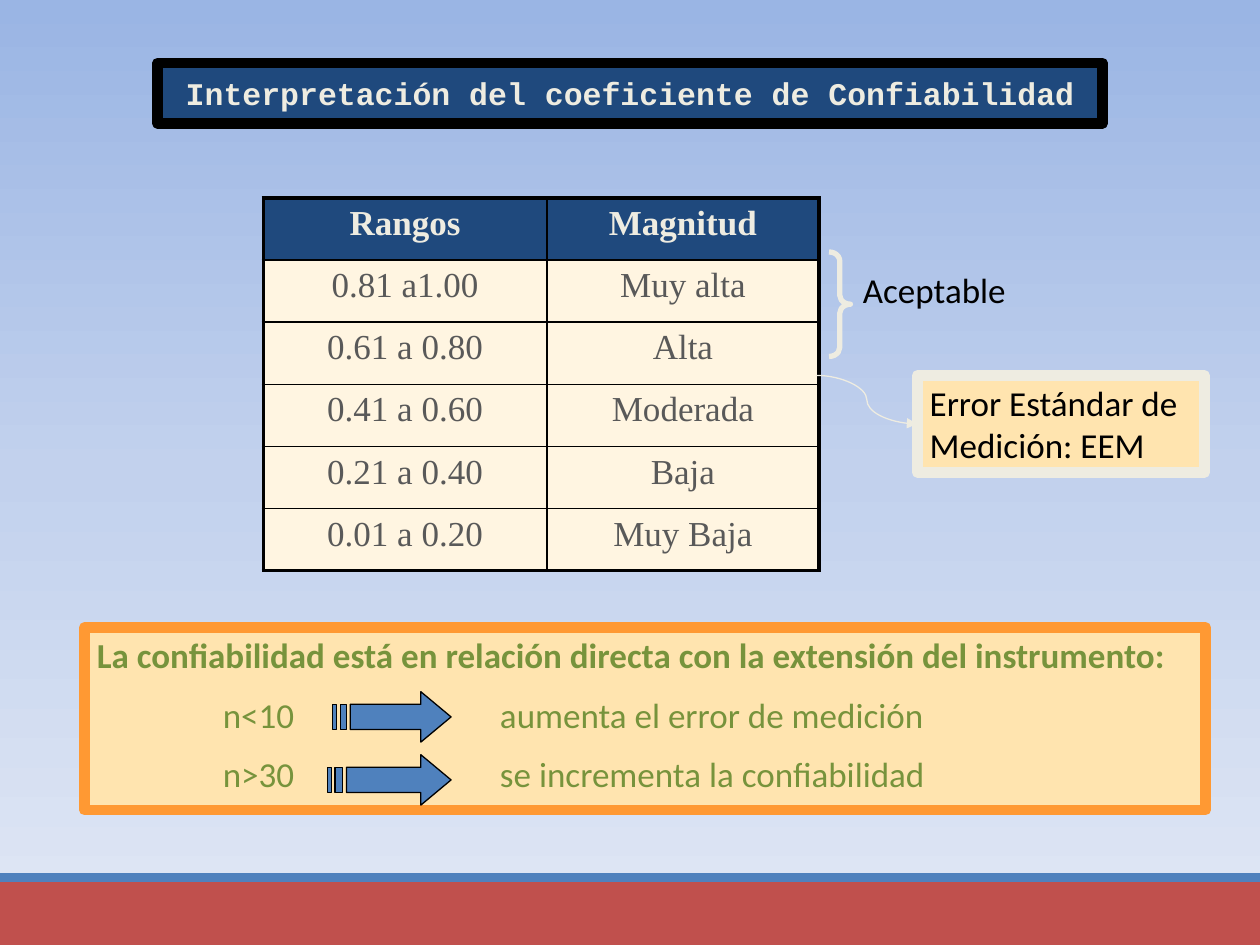
from copy import deepcopy
from pptx import Presentation
from pptx.dml.color import RGBColor
from pptx.enum.shapes import MSO_CONNECTOR, MSO_SHAPE
from pptx.enum.text import MSO_ANCHOR, PP_ALIGN
from pptx.oxml import parse_xml
from pptx.oxml.ns import nsdecls
from pptx.util import Inches, Pt

NAVY = RGBColor(0x1F, 0x49, 0x7D)
BLUE = RGBColor(0x4F, 0x81, 0xBD)
RED = RGBColor(0xC0, 0x50, 0x4D)
CREAM = RGBColor(0xEE, 0xEC, 0xE1)
PALE = RGBColor(0xFF, 0xF5, 0xE1)
SAND = RGBColor(0xFF, 0xE4, 0xAF)
ORANGE = RGBColor(0xFF, 0x99, 0x33)
GREEN = RGBColor(0x77, 0x93, 0x3C)
GRAY = RGBColor(0x59, 0x59, 0x59)
BLACK = RGBColor(0, 0, 0)
SKY = [(0, RGBColor(0x9A, 0xB5, 0xE4)), (0.5, RGBColor(0xC2, 0xD1, 0xED)),
       (1, RGBColor(0xE1, 0xE8, 0xF5))]

# Content
TITLE = "Interpretación del coeficiente de Confiabilidad"
ROWS = [("Rangos", "Magnitud"), ("0.81 a1.00", "Muy alta"),
        ("0.61 a 0.80", "Alta"), ("0.41 a 0.60", "Moderada"),
        ("0.21 a 0.40", "Baja"), ("0.01 a 0.20", "Muy Baja")]
BRACE = "Aceptable"
ERROR = "Error Estándar de Medición: EEM"
RULE = "La confiabilidad está en relación directa con la extensión del instrumento:"
CASES = [("n<10", "aumenta el error de medición"),
         ("n>30", "se incrementa la confiabilidad")]
TABS = (1, 3.2)
COLS = (2.25, 2.16)
# Arrow: left, top, then offsets of the stripes and the shaft
ARROWS = [(2.64, 5.49, [(0, 0.03), (0.06, 0.11)], 0.14),
          (2.6, 5.99, [(0, 0.03), (0.06, 0.12)], 0.15)]

# Text formats
HEAD = dict(name="Courier New", size=Pt(18), bold=True, color=CREAM)
TOP = dict(name="Times New Roman", size=Pt(20), bold=True, color=CREAM)
CELL = dict(TOP, bold=False, color=GRAY)
NOTE = dict(name="Calibri", size=Pt(20), bold=False, color=BLACK)
CASE = dict(NOTE, color=GREEN)
STRONG = dict(CASE, bold=True)


def write(para, text, form, align=PP_ALIGN.LEFT):
    para.alignment = align
    run = para.add_run()
    run.text = text
    for key, val in form.items():
        if key == "color":
            run.font.color.rgb = val
        else:
            setattr(run.font, key, val)


def paint(shape, fill=None, line=None, width=6):
    shape.shadow.inherit = False
    for part, color in ((shape.fill, fill), (shape.line.fill, line)):
        if color is None:
            part.background()
        else:
            part.solid()
            part.fore_color.rgb = color
    if line is not None:
        shape.line.width = Pt(width)


def box(shapes, at, fill, line=None, width=6, kind=MSO_SHAPE.RECTANGLE):
    shape = shapes.add_shape(kind, *map(Inches, at))
    paint(shape, fill, line, width)
    shape.text_frame.word_wrap = True
    shape.text_frame.vertical_anchor = MSO_ANCHOR.TOP
    return shape


def edge(cell, widths):
    props = cell._tc.get_or_add_tcPr()
    for i, (side, width) in enumerate(zip("LRTB", widths)):
        props.insert(i, parse_xml(
            f'<a:ln{side} {nsdecls("a")} w="{Pt(width)}"><a:solidFill>'
            f'<a:srgbClr val="{BLACK}"/></a:solidFill></a:ln{side}>'))


def arrow(shapes, left, top, bars, shaft):
    upper, lower, neck, tip = top + 0.1, top + 0.3, 3.34, 3.58
    body = left + shaft
    loops = [[(neck, top), (neck, upper), (body, upper), (body, lower),
              (neck, lower), (neck, top + 0.4), (tip, top + 0.2)]]
    for a, b in bars:
        loops.append([(left + a, upper), (left + a, lower),
                      (left + b, lower), (left + b, upper)])
    build = None
    for loop in loops:
        pts = [(Inches(x), Inches(y)) for x, y in loop]
        if build is None:
            build = shapes.build_freeform(*pts[0])
        else:
            build.move_to(*pts[0])
        build.add_line_segments(pts[1:], close=True)
    paint(build.convert_to_shape(), BLUE, BLACK, 0.75)


def main():
    prs = Presentation()
    prs.slide_width, prs.slide_height = Inches(10), Inches(7.5)
    slide = prs.slides.add_slide(prs.slide_layouts[6])
    shapes = slide.shapes

    # Sky gradient
    fill = slide.background.fill
    fill.gradient()
    fill.gradient_angle = 270
    stops = slide._element.xpath(".//a:gsLst")[0]
    stops.append(deepcopy(stops[0]))
    for stop, (place, color) in zip(fill.gradient_stops, SKY):
        stop.position = place
        stop.color.rgb = color

    # Footer bands and title
    box(shapes, (0, 7, 10, 0.5), RED)
    box(shapes, (0, 6.93, 10, 0.07), BLUE)
    title = box(shapes, (1.25, 0.5, 7.5, 0.48), NAVY, BLACK).text_frame
    title.vertical_anchor = MSO_ANCHOR.MIDDLE
    write(title.paragraphs[0], TITLE, HEAD, PP_ALIGN.CENTER)

    # Table of ranges
    count = len(ROWS)
    table = shapes.add_table(count, 2, Inches(2.09), Inches(1.57),
                             Inches(sum(COLS)), Inches(2.96)).table
    for col, width in zip(table.columns, COLS):
        col.width = Inches(width)
    for r, row in enumerate(ROWS):
        for c, text in enumerate(row):
            cell = table.cell(r, c)
            cell.fill.solid()
            cell.fill.fore_color.rgb = PALE if r else NAVY
            outer = (c == 0, c == 1, r == 0, r == count - 1)
            edge(cell, [2.25 if out else 1 for out in outer])
            write(cell.text_frame.paragraphs[0], text, CELL if r else TOP,
                  PP_ALIGN.CENTER)

    # Brace and its label
    brace = box(shapes, (6.58, 2, 0.17, 0.83), None, CREAM, 3,
                MSO_SHAPE.RIGHT_BRACE)
    brace.adjustments[0] = 0.42
    label = shapes.add_textbox(*map(Inches, (6.75, 2.08, 1.58, 0.44))).text_frame
    label.word_wrap = True
    write(label.paragraphs[0], BRACE, NOTE)

    # Error note and its curved arrow
    note = box(shapes, (7.28, 2.98, 2.28, 0.77), SAND, CREAM)
    write(note.text_frame.paragraphs[0], ERROR, NOTE)
    curve = shapes.add_connector(MSO_CONNECTOR.CURVE,
                                 *map(Inches, (6.48, 2.98, 7.28, 3.37)))
    curve.end_connect(note, 1)
    curve.line.color.rgb = CREAM
    curve.line.width = Pt(0.75)
    curve.line._get_or_add_ln().append(
        parse_xml(f'<a:tailEnd {nsdecls("a")} type="triangle"/>'))
    curve._element.spPr.append(parse_xml(f'<a:effectLst {nsdecls("a")}/>'))

    # Rule with its two cases
    frame = box(shapes, (0.67, 4.98, 8.9, 1.45), SAND, ORANGE).text_frame
    write(frame.paragraphs[0], RULE, STRONG, PP_ALIGN.JUSTIFY)
    marks = "".join(f'<a:tab pos="{Inches(x)}" algn="l"/>' for x in TABS)
    for size, effect in CASES:
        para = frame.add_paragraph()
        para.space_before = Pt(10)
        write(para, f"\t{size}\t{effect}", CASE)
        para._p.get_or_add_pPr().append(
            parse_xml(f'<a:tabLst {nsdecls("a")}>{marks}</a:tabLst>'))
    for spot in ARROWS:
        arrow(shapes, *spot)

    prs.save("out.pptx")


if __name__ == "__main__":
    main()
